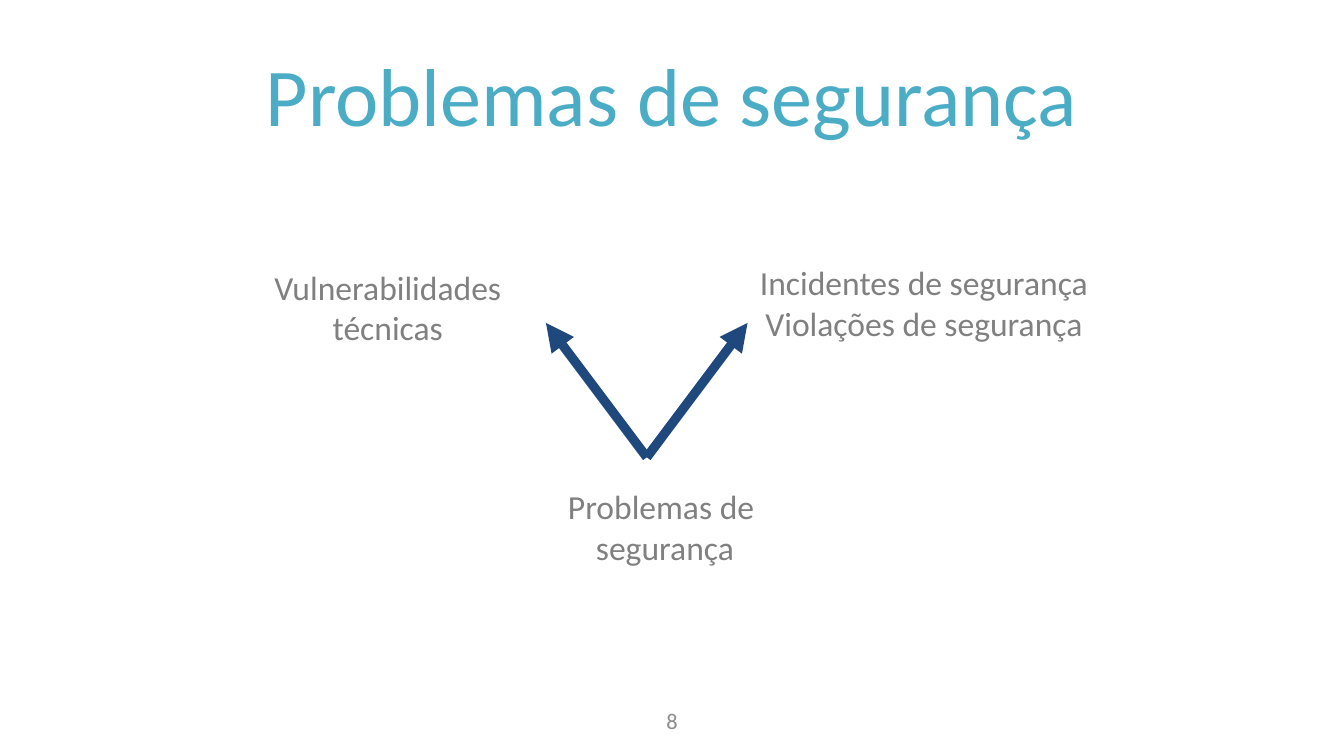
import pptx
import pptx.util
import pptx.dml.color
import pptx.enum.shapes
import pptx.enum.text
import pptx.oxml.ns
from lxml import etree

Pt = pptx.util.Pt
qn = pptx.oxml.ns.qn
MIDDLE = pptx.enum.text.MSO_ANCHOR.MIDDLE
HEX = {"title": "4BACC6", "text": "808080", "page": "8C8C8C", "arrow": "1F497D"}


def tint(name):
    return pptx.dml.color.RGBColor.from_string(HEX[name])


def write(shape, lines, size, name):
    """Fill a shape with centred lines in one style."""
    frame = shape.text_frame
    frame.text = "\n".join(lines)
    for par in frame.paragraphs:
        par.alignment = pptx.enum.text.PP_ALIGN.CENTER
        par.font.name = "Calibri"
        par.font.size = Pt(size)
        par.font.color.rgb = tint(name)
    return frame


deck = pptx.Presentation()
deck.slide_width, deck.slide_height = Pt(720), Pt(405)
slide = deck.slides.add_slide(deck.slide_layouts[5])

title = slide.shapes.title
title.left, title.top, title.width, title.height = Pt(36), Pt(16.5), Pt(648), Pt(67.5)
write(title, ["Problemas de segurança"], 44, "title").vertical_anchor = MIDDLE

labels = [
    (139, 139.5, 137.5, ["Vulnerabilidades", "técnicas"]),
    (399, 137, 192, ["Incidentes de segurança", "Violações de segurança"]),
    (296.5, 257, 119.5, ["Problemas de ", "segurança"]),
]
for left, top, width, lines in labels:
    box = slide.shapes.add_textbox(Pt(left), Pt(top), Pt(width), Pt(51))
    frame = write(box, lines, 18, "text")
    frame.word_wrap = False
    frame.auto_size = pptx.enum.text.MSO_AUTO_SIZE.SHAPE_TO_FIT_TEXT

# Two arrows rise from one point, mirrored left and right
x, y = 346.5, 245
for run in (-54, 54):
    arrow = slide.shapes.add_connector(
        pptx.enum.shapes.MSO_CONNECTOR.STRAIGHT, Pt(x), Pt(y), Pt(x + run), Pt(y - 72))
    arrow.line.color.rgb = tint("arrow")
    arrow.line.width = Pt(5)
    etree.SubElement(arrow.line._get_or_add_ln(), qn("a:tailEnd"), type="triangle")
    etree.SubElement(arrow._element.spPr, qn("a:effectLst"))

page = slide.shapes.add_textbox(Pt(246), Pt(375), Pt(228), Pt(21.5))
frame = write(page, ["8"], 12, "page")
frame.word_wrap = True
frame.vertical_anchor = MIDDLE

deck.save("out.pptx")
